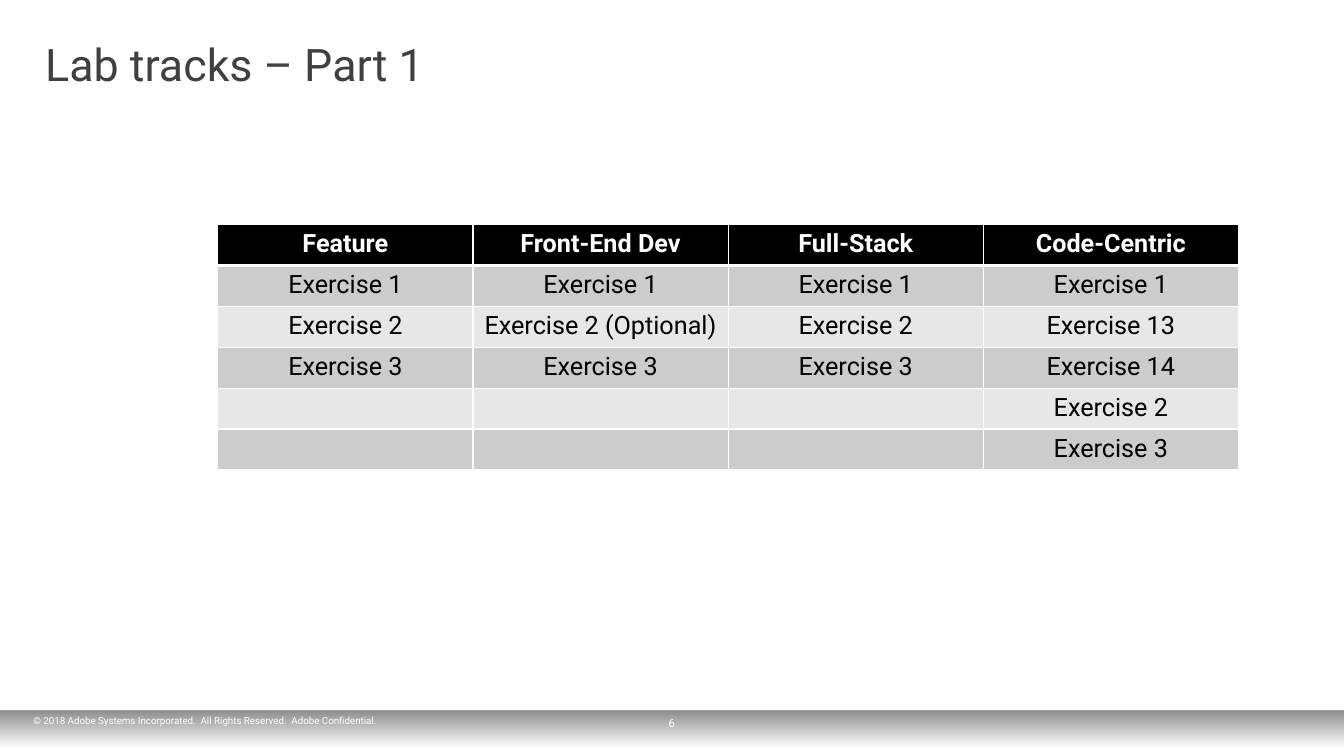
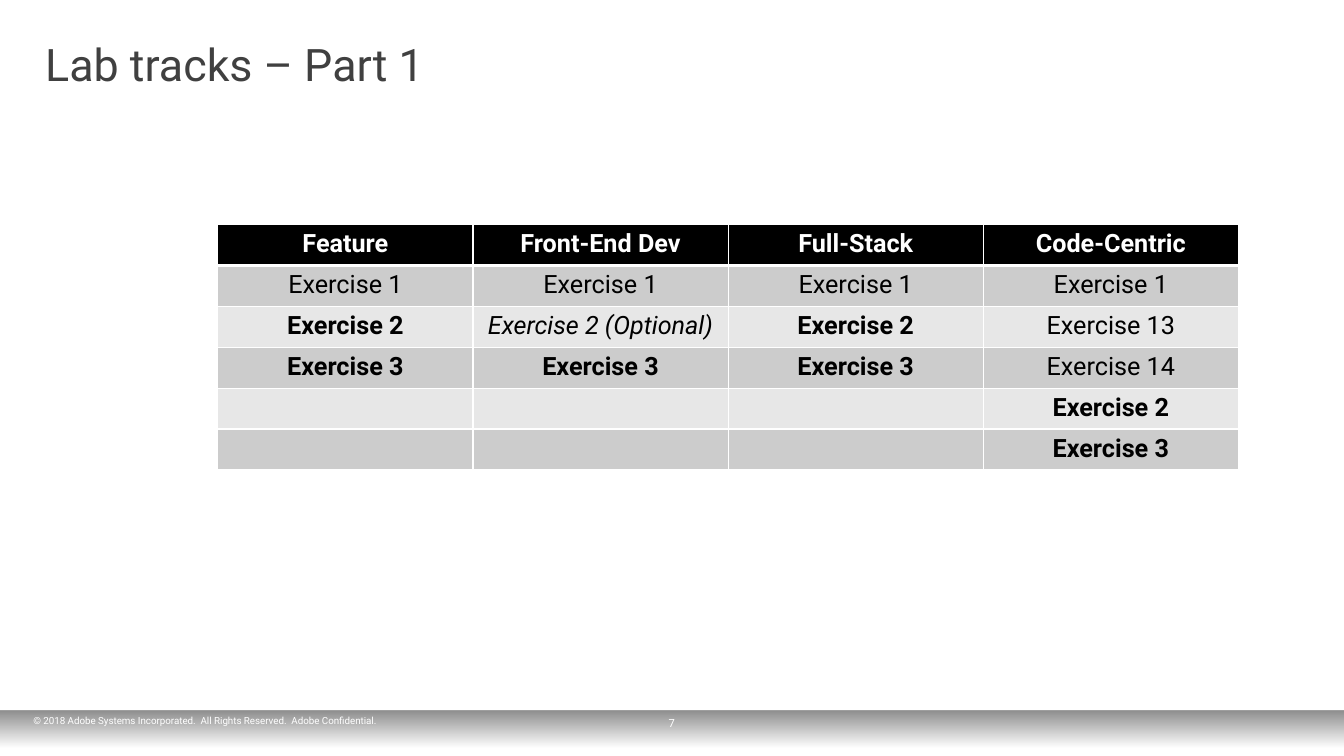
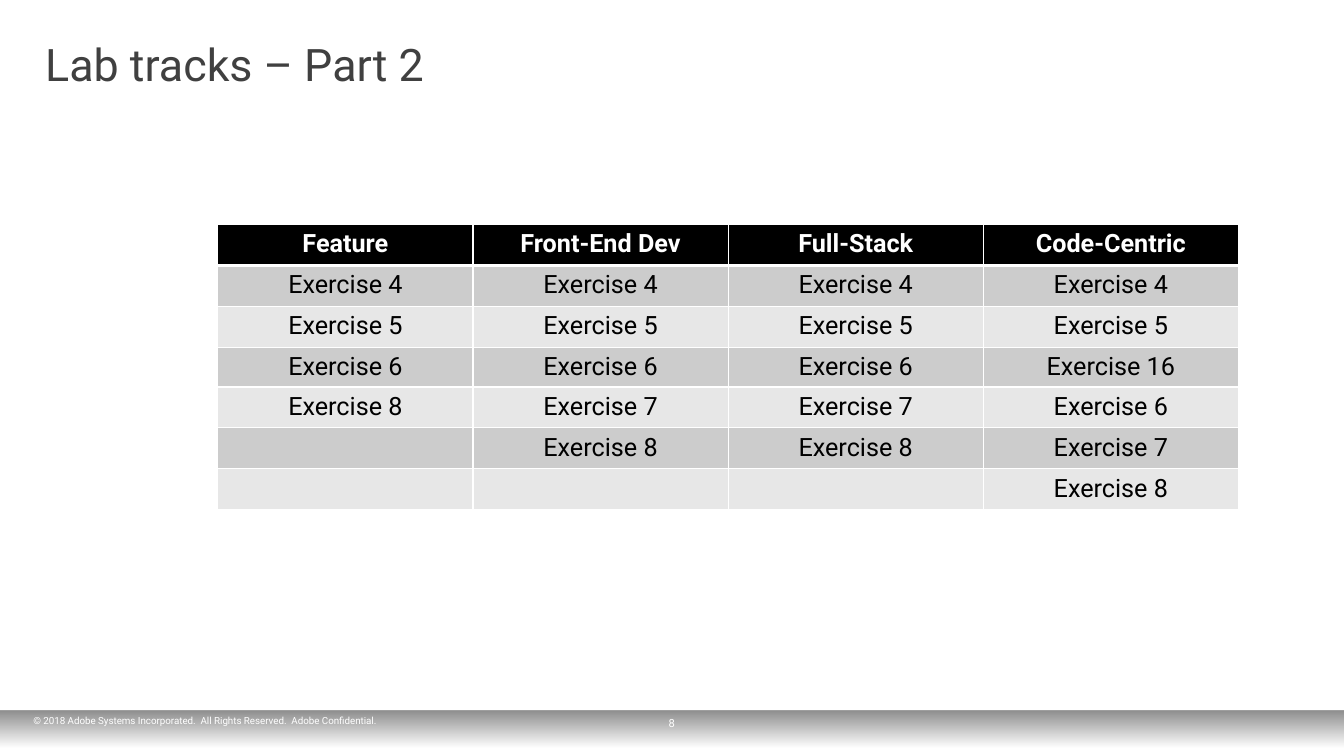
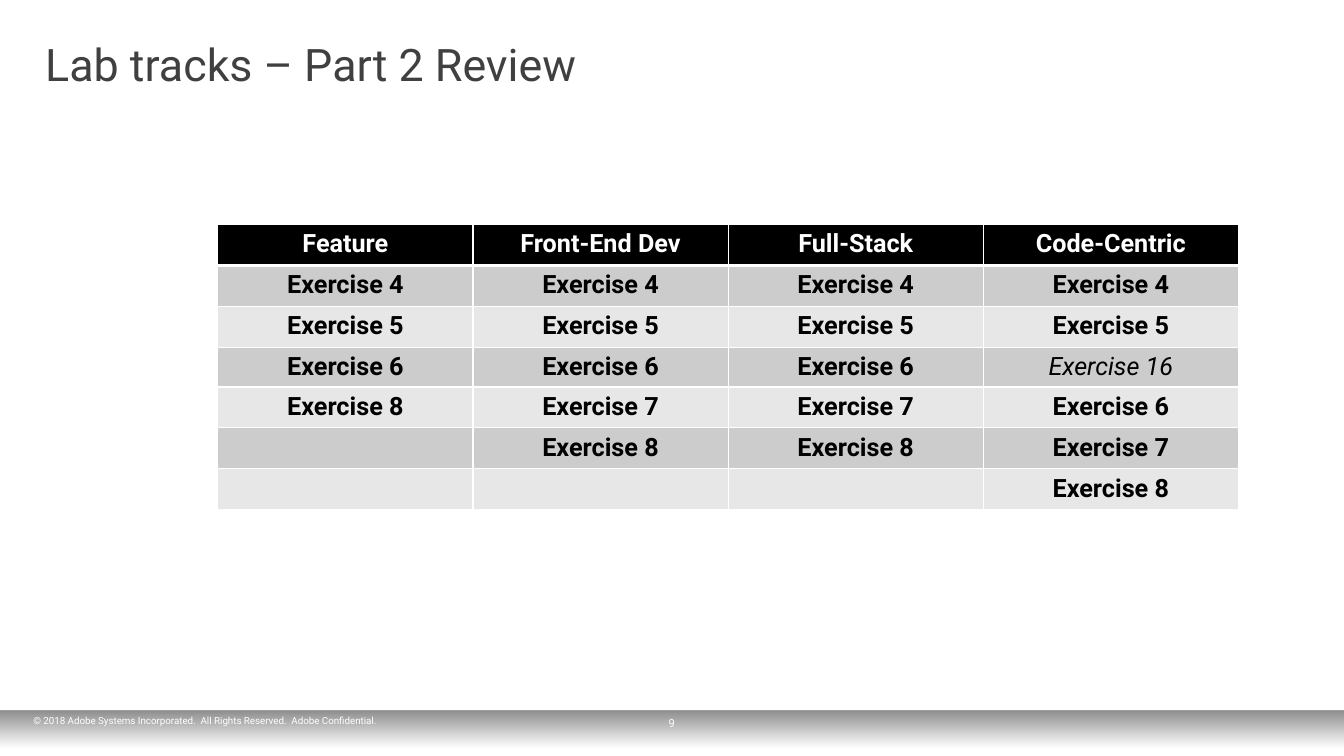
from dataclasses import dataclass
from itertools import zip_longest

import pptx
import pptx.dml.color
import pptx.enum.shapes
import pptx.enum.text
import pptx.oxml
import pptx.oxml.ns
import pptx.slide
import pptx.table
import pptx.text.text
import pptx.util

Cm = pptx.util.Cm
Pt = pptx.util.Pt
ALIGN = pptx.enum.text.PP_ALIGN
ANCHOR = pptx.enum.text.MSO_ANCHOR

COLOURS = {
    "title": "404040",
    "header": "000000",
    "body": "000000",
    "light": "FFFFFF",
    "odd_row": "CCCCCC",
    "even_row": "E7E7E7",
    "band": "000000",
}
FONT = "Roboto"
SLIDE_WIDTH, SLIDE_HEIGHT = Cm(33.87), Cm(19.05)
COPYRIGHT = "© 2018 Adobe Systems Incorporated.  All Rights Reserved.  Adobe Confidential."
FIRST_NUMBER = 6
COLUMN_WIDTH, ROW_HEIGHT, SHORT_ROW_HEIGHT = Cm(6.43), Cm(1.03), Cm(0.81)
THIN, THICK = Pt(1), Pt(3)


@dataclass(frozen=True)
class Track:
    name: str
    exercises: tuple[str, ...]


@dataclass(frozen=True)
class Lab:
    title: str
    tracks: tuple[Track, ...]
    bold: tuple[str, ...] = ()
    italic: tuple[str, ...] = ()
    short_row: int | None = None


def exercises(*numbers: int) -> tuple[str, ...]:
    return tuple(f"Exercise {number}" for number in numbers)


OPTIONAL = "Exercise 2 (Optional)"
PART_1 = (
    Track("Feature", exercises(1, 2, 3)),
    Track("Front-End Dev", ("Exercise 1", OPTIONAL, "Exercise 3")),
    Track("Full-Stack", exercises(1, 2, 3)),
    Track("Code-Centric", exercises(1, 13, 14, 2, 3)),
)
PART_2 = (
    Track("Feature", exercises(4, 5, 6, 8)),
    Track("Front-End Dev", exercises(4, 5, 6, 7, 8)),
    Track("Full-Stack", exercises(4, 5, 6, 7, 8)),
    Track("Code-Centric", exercises(4, 5, 16, 6, 7, 8)),
)
LABS = (
    Lab("Lab tracks – Part 1", PART_1),
    Lab("Lab tracks – Part 1", PART_1, bold=exercises(2, 3), italic=(OPTIONAL,)),
    Lab("Lab tracks – Part 2", PART_2, short_row=3),
    Lab("Lab tracks – Part 2 Review", PART_2, bold=exercises(4, 5, 6, 7, 8),
        italic=exercises(16), short_row=3),
)


def rgb(name: str) -> pptx.dml.color.RGBColor:
    return pptx.dml.color.RGBColor.from_string(COLOURS[name])


def write(frame: pptx.text.text.TextFrame, text: str, size: float, colour: str,
          align: ALIGN = ALIGN.LEFT, bold: bool = False, italic: bool = False) -> None:
    paragraph = frame.paragraphs[0]
    paragraph.alignment = align
    run = paragraph.add_run()
    run.text = text
    run.font.name = FONT
    run.font.size = Pt(size)
    run.font.bold = bold
    run.font.italic = italic
    run.font.color.rgb = rgb(colour)


def set_frame(frame: pptx.text.text.TextFrame, anchor: ANCHOR, side: Cm, edge: Cm) -> None:
    frame.word_wrap = True
    frame.auto_size = pptx.enum.text.MSO_AUTO_SIZE.NONE
    frame.vertical_anchor = anchor
    frame.margin_left = frame.margin_right = side
    frame.margin_top = frame.margin_bottom = edge


def add_title(slide: pptx.slide.Slide, text: str) -> None:
    title = slide.shapes.title
    title.left, title.top, title.width, title.height = Cm(0.84), Cm(0.79), Cm(32.16), Cm(1.65)
    set_frame(title.text_frame, ANCHOR.MIDDLE, Cm(0.3), Cm(0.15))
    write(title.text_frame, text, 32, "title")


def add_footer(slide: pptx.slide.Slide, number: int) -> None:
    band = slide.shapes.add_shape(pptx.enum.shapes.MSO_SHAPE.RECTANGLE,
                                  0, Cm(17.91), SLIDE_WIDTH, Cm(0.97))
    band.shadow.inherit = False
    band.line.fill.background()
    band.fill.gradient()
    band.fill.gradient_angle = 270
    for stop, position in zip(band.fill.gradient_stops, (0, 0.95)):
        stop.color.rgb = rgb("band")
        stop.position = position
    for colour, opacity in zip(band.element.xpath(".//a:gs/a:srgbClr"), (45, 0)):
        alpha = pptx.oxml.parse_xml(
            f'<a:alpha {pptx.oxml.ns.nsdecls("a")} val="{opacity * 1000}"/>')
        colour.append(alpha)

    rights = slide.shapes.add_textbox(Cm(0.84), Cm(18.01), Cm(14.4), Cm(0.3)).text_frame
    set_frame(rights, ANCHOR.BOTTOM, 0, 0)
    write(rights, COPYRIGHT, 7, "light")

    page = slide.shapes.add_textbox(Cm(15.52), Cm(17.98), Cm(2.82), Cm(0.46)).text_frame
    set_frame(page, ANCHOR.MIDDLE, Cm(0.3), Cm(0.15))
    write(page, str(number), 8, "light", ALIGN.CENTER)


def set_borders(cell: pptx.table._Cell, top: Pt, bottom: Pt) -> None:
    """Draw light borders; they must come before the fill in the cell properties."""
    properties = cell._tc.get_or_add_tcPr()
    widths = {"lnL": THIN, "lnR": THIN, "lnT": top, "lnB": bottom}
    for index, (side, width) in enumerate(widths.items()):
        properties.insert(index, pptx.oxml.parse_xml(
            f'<a:{side} {pptx.oxml.ns.nsdecls("a")} w="{int(width)}"><a:solidFill>'
            f'<a:srgbClr val="{COLOURS["light"]}"/></a:solidFill></a:{side}>'))


def add_tracks(slide: pptx.slide.Slide, lab: Lab) -> None:
    rows = [tuple(track.name for track in lab.tracks),
            *zip_longest(*(track.exercises for track in lab.tracks), fillvalue="")]
    columns = len(lab.tracks)
    table = slide.shapes.add_table(len(rows), columns, Cm(5.49), Cm(5.66),
                                   COLUMN_WIDTH * columns, ROW_HEIGHT * len(rows)).table
    table.horz_banding = False
    for column in table.columns:
        column.width = COLUMN_WIDTH
    for r, labels in enumerate(rows):
        table.rows[r].height = SHORT_ROW_HEIGHT if r == lab.short_row else ROW_HEIGHT
        header = r == 0
        fill = "header" if header else "odd_row" if r % 2 else "even_row"
        for c, label in enumerate(labels):
            cell = table.cell(r, c)
            cell.fill.solid()
            cell.fill.fore_color.rgb = rgb(fill)
            set_borders(cell, THICK if r == 1 else THIN, THICK if header else THIN)
            if label:
                write(cell.text_frame, label, 18, "light" if header else "body",
                      ALIGN.CENTER, header or label in lab.bold, label in lab.italic)


def main() -> None:
    deck = pptx.Presentation()
    deck.slide_width, deck.slide_height = SLIDE_WIDTH, SLIDE_HEIGHT
    title_only = deck.slide_layouts[5]
    for number, lab in enumerate(LABS, start=FIRST_NUMBER):
        slide = deck.slides.add_slide(title_only)
        add_footer(slide, number)
        add_title(slide, lab.title)
        add_tracks(slide, lab)
    deck.save("out.pptx")


if __name__ == "__main__":
    main()
